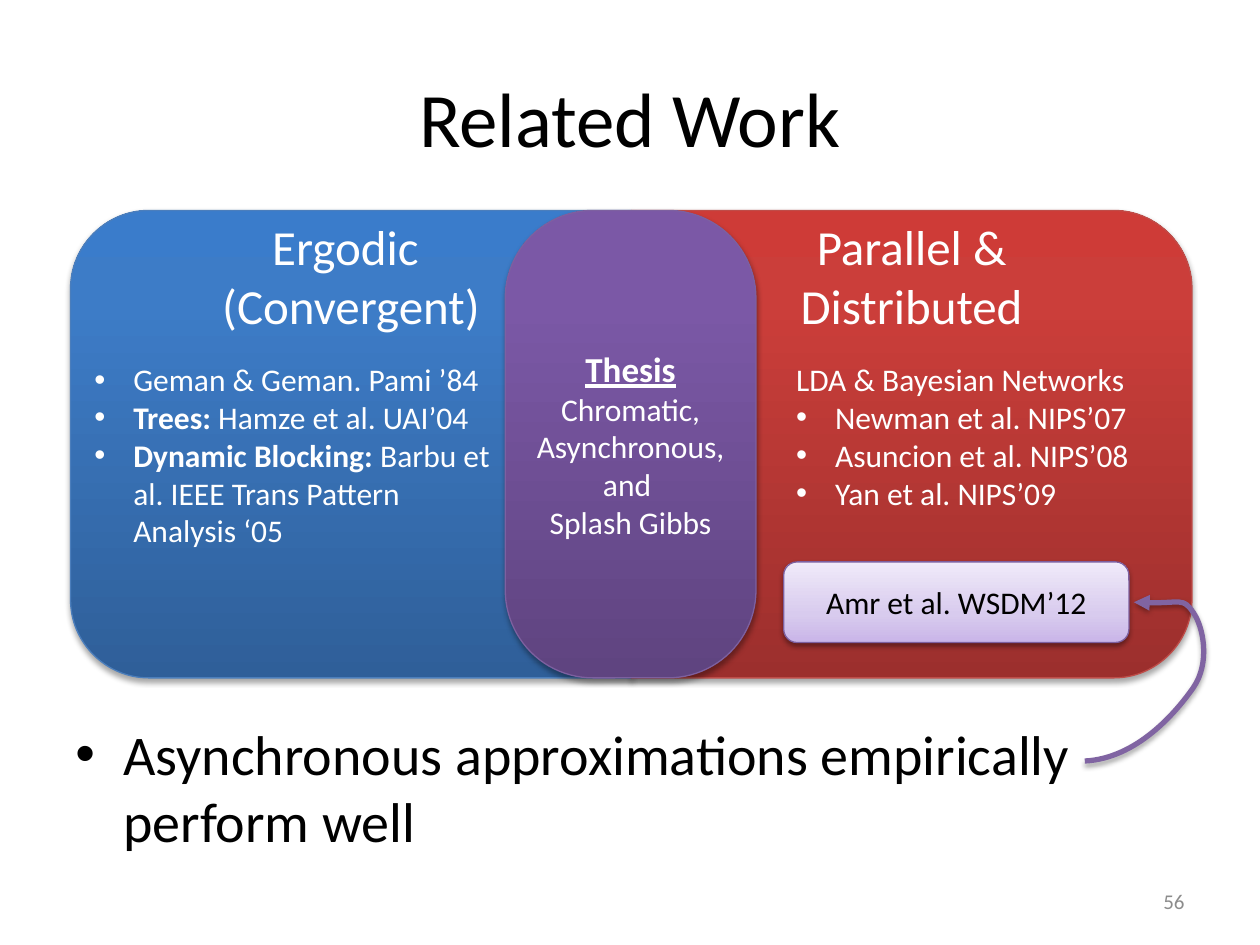
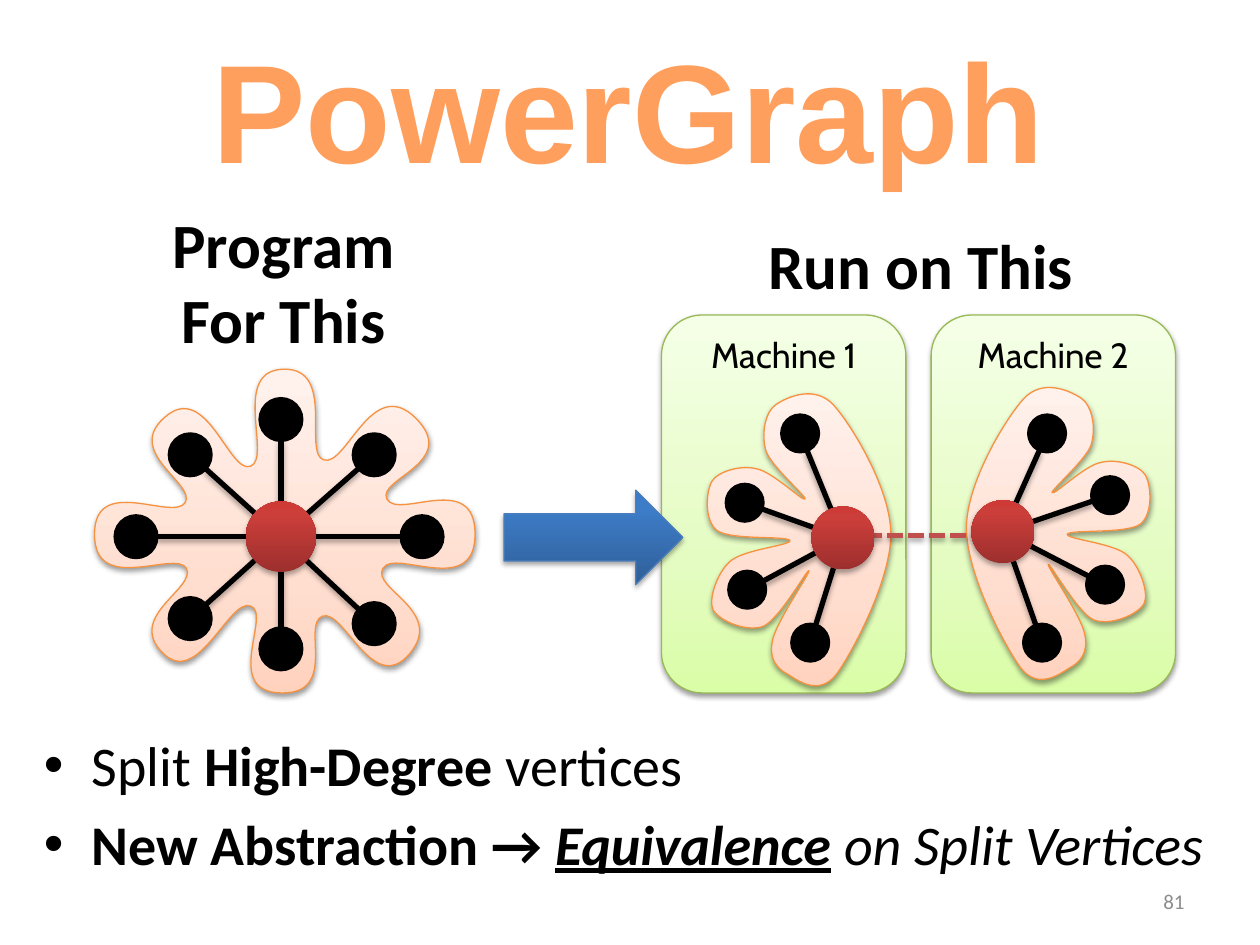
import collections
import math

import lxml.etree
import pptx
import pptx.dml.color
import pptx.enum.dml
import pptx.enum.shapes
import pptx.enum.text
import pptx.oxml.ns
import pptx.util

Inches, Pt = pptx.util.Inches, pptx.util.Pt
RGB = pptx.dml.color.RGBColor.from_string
qn = pptx.oxml.ns.qn
SHAPE = pptx.enum.shapes.MSO_SHAPE
ALIGN = pptx.enum.text.PP_ALIGN
ANCHOR = pptx.enum.text.MSO_ANCHOR

# Colours, shadows and looks shared by both slides
BLACK, WHITE, GREY = RGB("000000"), RGB("FFFFFF"), RGB("8C8C8C")
ARROW_PURPLE, LINK_RED = RGB("8064A2"), RGB("C0504D")
TITLE_STOPS = [(0, RGB("FFA367")), (25, RGB("FF9F5D")), (50, RGB("F38E3A")),
               (75, RGB("FF9F5D")), (100, RGB("FFA367"))]
STRONG, SOFT = (35, 1.8), (38, 1.6)  # opacity %, distance pt
Look = collections.namedtuple("Look", "stops line shadow")


def look(positions, colours, line, shadow):
    return Look(list(zip(positions, map(RGB, colours))), line and RGB(line), shadow)


DEEP, PALE = (0, 80, 100), (0, 35, 100)
BLUE = look(DEEP, ("2F5F99", "3D7CC7", "3A7CCB"), "4B7EBC", STRONG)
RED = look(DEEP, ("9C2F2D", "CB3E3A", "CE3B37"), "BF4C48", STRONG)
HUB = RED._replace(line=None)
PURPLE = look(DEEP, ("5F4480", "7B58A6", "7C57A8"), "7D60A0", STRONG)
LILAC = look(PALE, ("C9B5E8", "D8CBEE", "F0EAF9"), "7D60A0", SOFT)
GREEN = look(PALE, ("DAFDA7", "E4FCC2", "F5FFE7"), "98B955", SOFT)
PEACH = look(PALE, ("FFD2BD", "FFDED0", "FFF2ED"), "F69240", SOFT)

# Outlines: a start point, then curves of two control points and an end point
STAR = [(0, 1.31),
        (0, .83, .62, 1.21, .72, 1.06), (.81, .91, .23, .66, .56, .38),
        (.89, .09, 1.07, .84, 1.24, .77), (1.41, .7, 1.08, .01, 1.5, 0),
        (1.92, -.01, 1.65, .67, 1.82, .72), (2, .78, 2.2, .04, 2.55, .39),
        (2.9, .74, 2.24, .87, 2.32, 1.03), (2.41, 1.2, 3.02, .8, 3.02, 1.31),
        (3.02, 1.82, 2.38, 1.42, 2.29, 1.58), (2.19, 1.74, 2.79, 1.92, 2.5, 2.26),
        (2.21, 2.6, 1.98, 1.9, 1.81, 1.96), (1.64, 2.02, 1.94, 2.58, 1.48, 2.57),
        (1.01, 2.56, 1.41, 1.94, 1.24, 1.88), (1.07, 1.81, .82, 2.54, .54, 2.25),
        (.25, 1.96, .81, 1.74, .73, 1.58), (.64, 1.43, 0, 1.8, 0, 1.31)]
HALF_STAR = [(1.46, 1.11),
             (1.46, .76, 1.16, .26, 1.01, .09), (.86, -.08, .64, .02, .55, .08),
             (.46, .14, .43, .32, .47, .45), (.51, .57, .79, .81, .78, .83),
             (.77, .86, .52, .61, .39, .59), (.27, .56, .09, .61, .04, .69),
             (-.01, .78, -.02, 1, .08, 1.08), (.19, 1.16, .64, 1.12, .66, 1.16),
             (.67, 1.2, .28, 1.23, .18, 1.33), (.08, 1.42, .01, 1.63, .05, 1.71),
             (.1, 1.8, .32, 1.89, .45, 1.84), (.58, 1.78, .8, 1.38, .81, 1.4),
             (.82, 1.42, .54, 1.82, .52, 1.96), (.49, 2.1, .56, 2.18, .64, 2.22),
             (.72, 2.27, .89, 2.4, 1.03, 2.22), (1.16, 2.04, 1.46, 1.47, 1.46, 1.11)]


def mirror(outline, w):
    return [tuple(w - v if i % 2 == 0 else v for i, v in enumerate(seg)) for seg in outline]


# Drawing helpers
def sub(parent, tag, **attrs):
    return lxml.etree.SubElement(parent, qn(tag), {k: str(v) for k, v in attrs.items()})


def set_gradient(fill, holder, stops, angle):
    fill.gradient()
    fill.gradient_angle = angle
    gs_list = holder.find(qn("a:gradFill")).find(qn("a:gsLst"))
    for gs in list(gs_list):
        gs_list.remove(gs)
    for position, colour in stops:
        sub(sub(gs_list, "a:gs", pos=position * 1000), "a:srgbClr", val=colour)


def add_shadow(sp, shadow):
    """Call after fill and line are set; no shadow leaves an empty effect list."""
    effects = sub(sp._element.spPr, "a:effectLst")
    if shadow:
        opacity, distance = shadow
        outer = sub(effects, "a:outerShdw", blurRad=Pt(3.1), dist=Pt(distance),
                    dir=5400000, rotWithShape=0)
        sub(sub(outer, "a:srgbClr", val=BLACK), "a:alpha", val=opacity * 1000)


def apply_look(sp, style):
    set_gradient(sp.fill, sp._element.spPr, style.stops, 90)
    if style.line:
        sp.line.color.rgb = style.line
        sp.line.width = Pt(0.75)
    else:
        sp.line.fill.background()
    add_shadow(sp, style.shadow)
    return sp


def add_preset(slide, kind, box, style):
    return apply_look(slide.shapes.add_shape(kind, *map(Inches, box)), style)


def add_outline(slide, x, y, outline, close=True):
    """Pairs are corners, sixes are Bezier curves, all relative to x, y."""
    start, *segments = outline
    points = [(Inches(x + seg[i]), Inches(y + seg[i + 1]))
              for seg in segments for i in range(0, len(seg), 2)]
    builder = slide.shapes.build_freeform(Inches(x + start[0]), Inches(y + start[1]))
    builder.add_line_segments(points, close=close)
    sp = builder.convert_to_shape()
    steps = iter(list(sp._element.iter(qn("a:lnTo"))))
    for seg in segments:
        step = next(steps)
        if len(seg) == 6:
            step.addprevious(curve := lxml.etree.Element(qn("a:cubicBezTo")))
            for node in (step, next(steps), next(steps)):
                curve.append(node[0])
                node.getparent().remove(node)
    return sp


def add_line(slide, start, end, colour=BLACK, dash=None):
    ln = slide.shapes.add_connector(pptx.enum.shapes.MSO_CONNECTOR.STRAIGHT,
                                    *map(Inches, (*start, *end)))
    ln.line.color.rgb = colour
    ln.line.width = Pt(3)
    if dash:
        ln.line.dash_style = dash
    add_shadow(ln, STRONG)


# Text helpers: a paragraph is a list of (text, style letters b, i, u)
def write(sp, paragraphs, size, colour=BLACK, align=ALIGN.LEFT, anchor=ANCHOR.TOP,
          font="Calibri", wrap=True, bullet=0, plain_first=False, gap=0):
    tf = sp.text_frame
    tf.word_wrap, tf.vertical_anchor = wrap, anchor
    for n, runs in enumerate(paragraphs):
        p = tf.add_paragraph() if n else tf.paragraphs[0]
        p.alignment = align
        if n and gap:
            p.space_before = Pt(gap)
        if bullet and (n or not plain_first):
            pPr = p._p.get_or_add_pPr()
            pPr.set("marL", str(Inches(bullet)))
            pPr.set("indent", str(-Inches(bullet)))
            sub(pPr, "a:buFont", typeface="Arial")
            sub(pPr, "a:buChar", char="•")
        for text, style in [(runs, "")] if isinstance(runs, str) else runs:
            r = p.add_run()
            r.text = text
            r.font.name, r.font.size, r.font.color.rgb = font, Pt(size), colour
            r.font.bold, r.font.italic, r.font.underline = (c in style for c in "biu")
    return sp


def add_text(slide, box, paragraphs, size, grow=False, **options):
    sp = write(slide.shapes.add_textbox(*map(Inches, box)), paragraphs, size, **options)
    if grow:
        sp.text_frame.auto_size = pptx.enum.text.MSO_AUTO_SIZE.SHAPE_TO_FIT_TEXT
    return sp


def add_slide(prs, number):
    slide = prs.slides.add_slide(prs.slide_layouts[6])
    add_text(slide, (7.17, 6.95, 2.33, 0.4), [number], 12, colour=GREY,
             align=ALIGN.RIGHT, anchor=ANCHOR.MIDDLE)
    return slide


def add_body(slide, box, paragraphs):
    add_text(slide, box, paragraphs, 32, bullet=0.38, gap=6.4)


# Slide 1: related work
def add_panel(slide, box, style, heading, flip=False):
    x, y, w, h = box
    r, k = 0.62, 0.28  # corner radius and its control offset
    outline = [(0, r), (0, k, k, 0, r, 0), (w, 0), (w, h), (r, h), (k, h, 0, h - k, 0, h - r)]
    panel = add_outline(slide, x, y, mirror(outline, w) if flip else outline)
    write(apply_look(panel, style), heading, 28, colour=WHITE, align=ALIGN.CENTER)


def add_thesis(slide, box):
    sp = add_preset(slide, SHAPE.ROUNDED_RECTANGLE, box, PURPLE)
    sp.adjustments[0] = 0.35
    sp.text_frame.margin_left = sp.text_frame.margin_right = 0
    write(sp, [[("Thesis", "bu")], "Chromatic,", "Asynchronous,", "and ", "Splash Gibbs"],
          18, colour=WHITE, align=ALIGN.CENTER, anchor=ANCHOR.MIDDLE)
    sp.text_frame.paragraphs[0].runs[0].font.size = Pt(20)


def add_curved_arrow(slide, x, y):
    arrow = add_outline(slide, x, y, [
        (0, 1.26), (.41, 1.24, .72, .88, .86, .68), (1, .48, .94, .19, .86, .08),
        (.78, -.04, .75, .02, .39, 0)], close=False)
    arrow.fill.background()
    arrow.line.color.rgb = ARROW_PURPLE
    arrow.line.width = Pt(3)
    sub(arrow.line._get_or_add_ln(), "a:tailEnd", type="triangle")
    add_shadow(arrow, STRONG)


def related_work_slide(prs):
    slide = add_slide(prs, "56")
    add_text(slide, (0.5, 0.3, 9, 1.25), ["Related Work"], 44,
             align=ALIGN.CENTER, anchor=ANCHOR.MIDDLE)
    top, w, h = 1.67, 4.45, 3.71
    add_panel(slide, (0.56, top, w, h), BLUE, ["Ergodic ", "(Convergent)"])
    add_text(slide, (0.65, top + 1.14, 3.36, 1.62), [
        "Geman & Geman. Pami ’84",
        [("Trees: ", "b"), ("Hamze et al. UAI’04", "")],
        [("Dynamic Blocking: ", "b"), ("Barbu et al. IEEE Trans Pattern Analysis ‘05", "")],
    ], 18, colour=WHITE, bullet=0.31, grow=True)
    add_panel(slide, (0.56 + w, top, w, h), RED, ["Parallel &", "Distributed"], flip=True)
    add_text(slide, (6.22, top + 1.14, 2.87, 1.92), [
        "LDA & Bayesian Networks", "Newman et al. NIPS’07",
        "Asuncion et al. NIPS’08", "Yan et al. NIPS’09",
    ], 18, colour=WHITE, bullet=0.31, plain_first=True, wrap=False, grow=True)
    add_body(slide, (0.5, 5.66, 9, 1.41),
             ["Asynchronous approximations empirically perform well"])
    add_thesis(slide, (4.01, top, 1.99, h))
    write(add_preset(slide, SHAPE.ROUNDED_RECTANGLE, (6.22, 4.46, 2.74, 0.64), LILAC),
          ["Amr et al. WSDM’12"], 18, align=ALIGN.CENTER, anchor=ANCHOR.MIDDLE)
    add_curved_arrow(slide, 8.61, 4.78)


# Slide 2: one vertex split over two machines
def add_hub(slide, x, y, hub, dots, hub_r, dot_r):
    """Spokes run from the rim of the hub to the rim of each dot."""
    hx, hy = x + hub[0], y + hub[1]
    for dx, dy in dots:
        cx, cy = x + dx, y + dy
        length = math.hypot(cx - hx, cy - hy)
        ux, uy = (cx - hx) / length, (cy - hy) / length
        add_line(slide, (hx + ux * hub_r, hy + uy * hub_r), (cx - ux * dot_r, cy - uy * dot_r))
        dot = slide.shapes.add_shape(
            SHAPE.OVAL, *map(Inches, (cx - dot_r, cy - dot_r, 2 * dot_r, 2 * dot_r)))
        dot.fill.solid()
        dot.fill.fore_color.rgb = dot.line.color.rgb = BLACK
        dot.line.width = Pt(2)
        add_shadow(dot, None)
    add_preset(slide, SHAPE.OVAL, (hx - hub_r, hy - hub_r, 2 * hub_r, 2 * hub_r), HUB)


def add_machine(slide, box, name):
    write(add_preset(slide, SHAPE.ROUNDED_RECTANGLE, box, GREEN), [name], 20,
          font="Cabin", align=ALIGN.CENTER, wrap=False)


def add_wordart_title(slide, box, text):
    r = add_text(slide, box, [[(text, "b")]], 80, font="Arial", wrap=False,
                 grow=True).text_frame.paragraphs[0].runs[0]
    rPr = r._r.get_or_add_rPr()
    set_gradient(r.font.fill, rPr, TITLE_STOPS, 270)
    ln = lxml.etree.Element(qn("a:ln"), {"w": str(Pt(0.9))})
    sub(sub(ln, "a:solidFill"), "a:srgbClr", val=BLACK)
    rPr.insert(0, ln)


def powergraph_slide(prs):
    slide = add_slide(prs, "81")
    add_wordart_title(slide, (1.59, 0.14, 6.87, 1.45), "PowerGraph")
    add_body(slide, (0.25, 5.75, 9.5, 1.67), [
        [("Split", ""), (" High-Degree ", "b"), ("vertices", "")],
        [("New Abstraction → ", "b"), ("Equivalence", "biu"), (" on Split Vertices", "i")]])
    add_text(slide, (1.25, 1.58, 2, 1.31), [[("Program", "b")], [("For This", "b")]], 36,
             align=ALIGN.CENTER, wrap=False, grow=True)
    add_text(slide, (6, 1.75, 2.65, 0.71), [[("Run on This", "b")]], 36, wrap=False, grow=True)

    # Whole vertex
    apply_look(add_outline(slide, 0.75, 2.93, STAR), PEACH)
    add_hub(slide, 0.75, 2.93, (1.48, 1.33), [
        (1.48, .4), (1.48, 2.22), (.33, 1.33), (2.6, 1.33),
        (.76, .68), (.76, 1.98), (2.22, 2.02), (2.22, .68)], 0.28, 0.165)

    # Machines, then the two halves joined by a dashed link
    for n in range(2):
        add_machine(slide, (5.25 + 2.14 * n, 2.5, 1.94, 3), f"Machine {n + 1}")
    halves = [
        (5.61, 3.13, HALF_STAR, (1.08, 1.14), [(.3, .86), (.82, 1.97), (.32, 1.55), (.74, .31)]),
        (7.67, 3.08, mirror(HALF_STAR, 1.46), (.29, 1.14),
         [(1.1, 1.56), (.64, .36), (1.14, .85), (.6, 2.02)])]
    for x, y, outline, _, _ in halves:
        apply_look(add_outline(slide, x, y, outline), PEACH)
    add_preset(slide, SHAPE.RIGHT_ARROW, (4, 3.89, 1.42, 0.75), BLUE)
    add_line(slide, (8, 4.25), (6.67, 4.25), LINK_RED, pptx.enum.dml.MSO_LINE.SQUARE_DOT)
    for x, y, _, hub, dots in halves:
        add_hub(slide, x, y, hub, dots, 0.25, 0.145)


def main():
    prs = pptx.Presentation()
    prs.slide_width, prs.slide_height = Inches(10), Inches(7.5)
    related_work_slide(prs)
    powergraph_slide(prs)
    prs.save("out.pptx")


if __name__ == "__main__":
    main()
